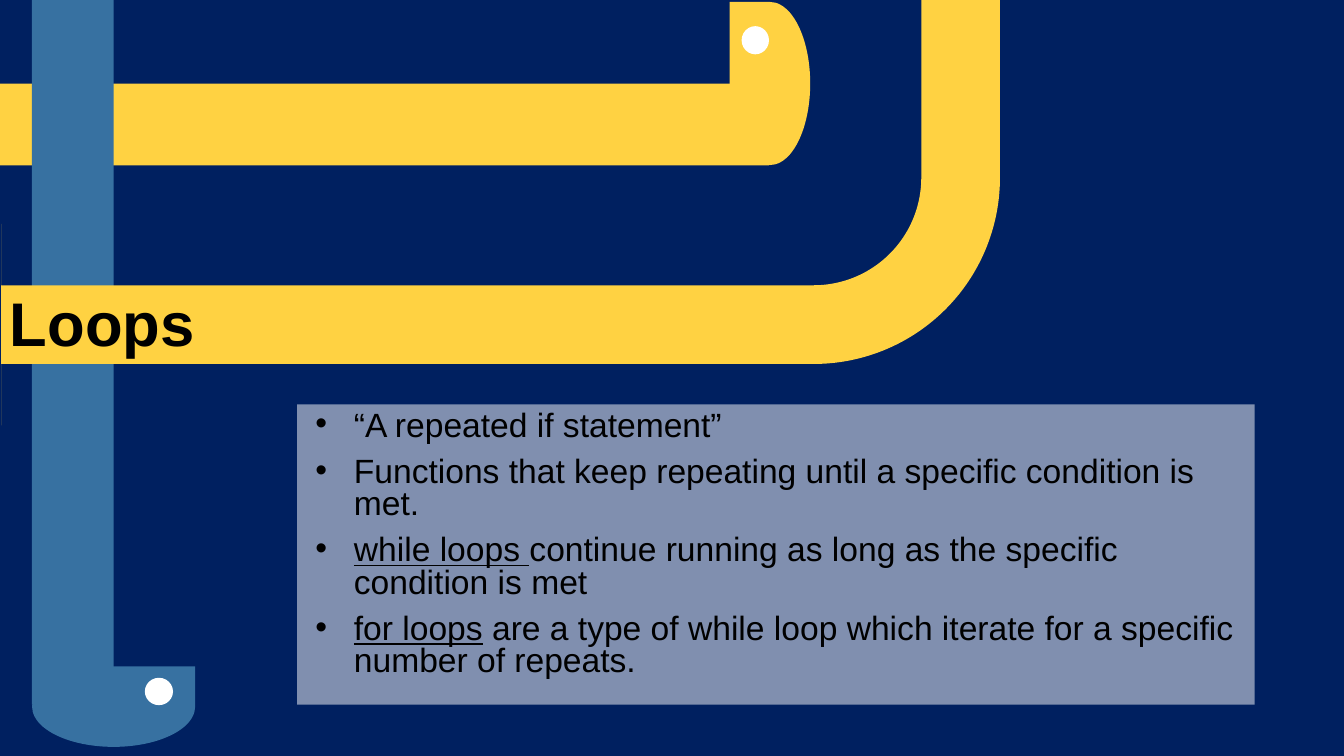
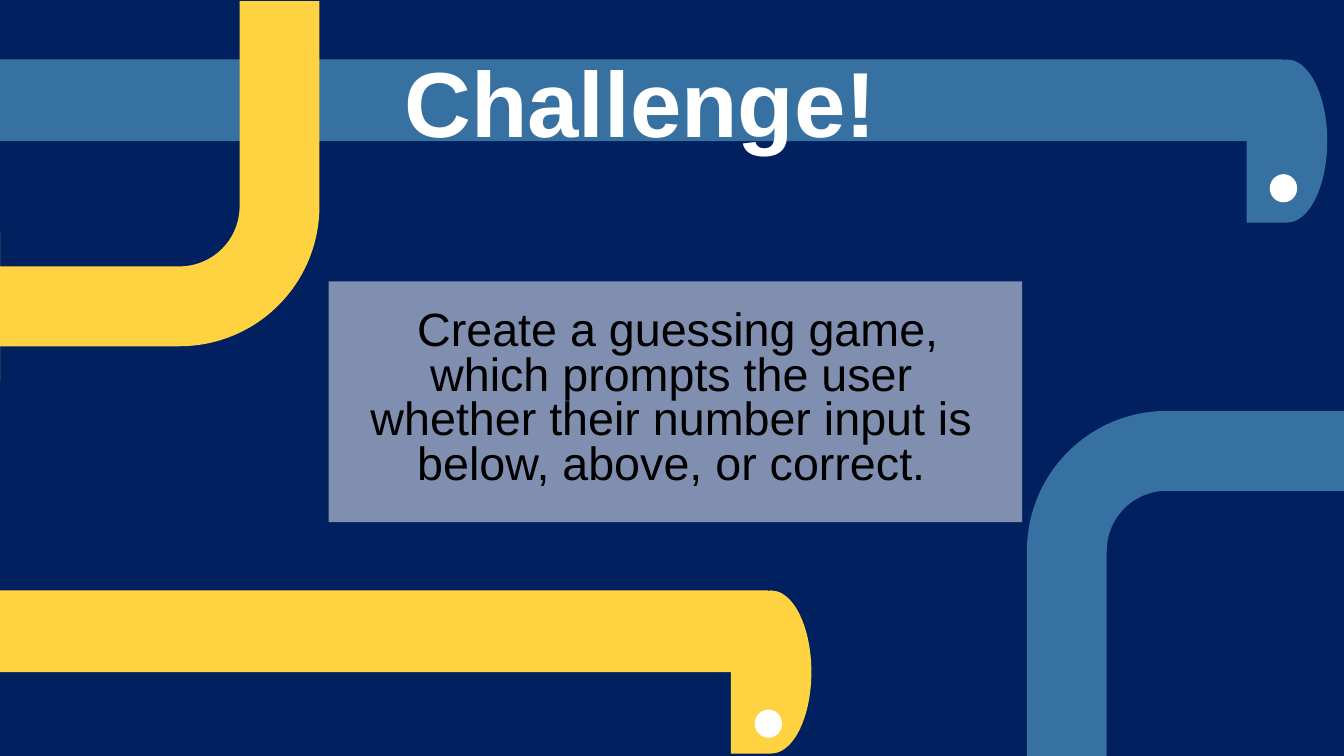
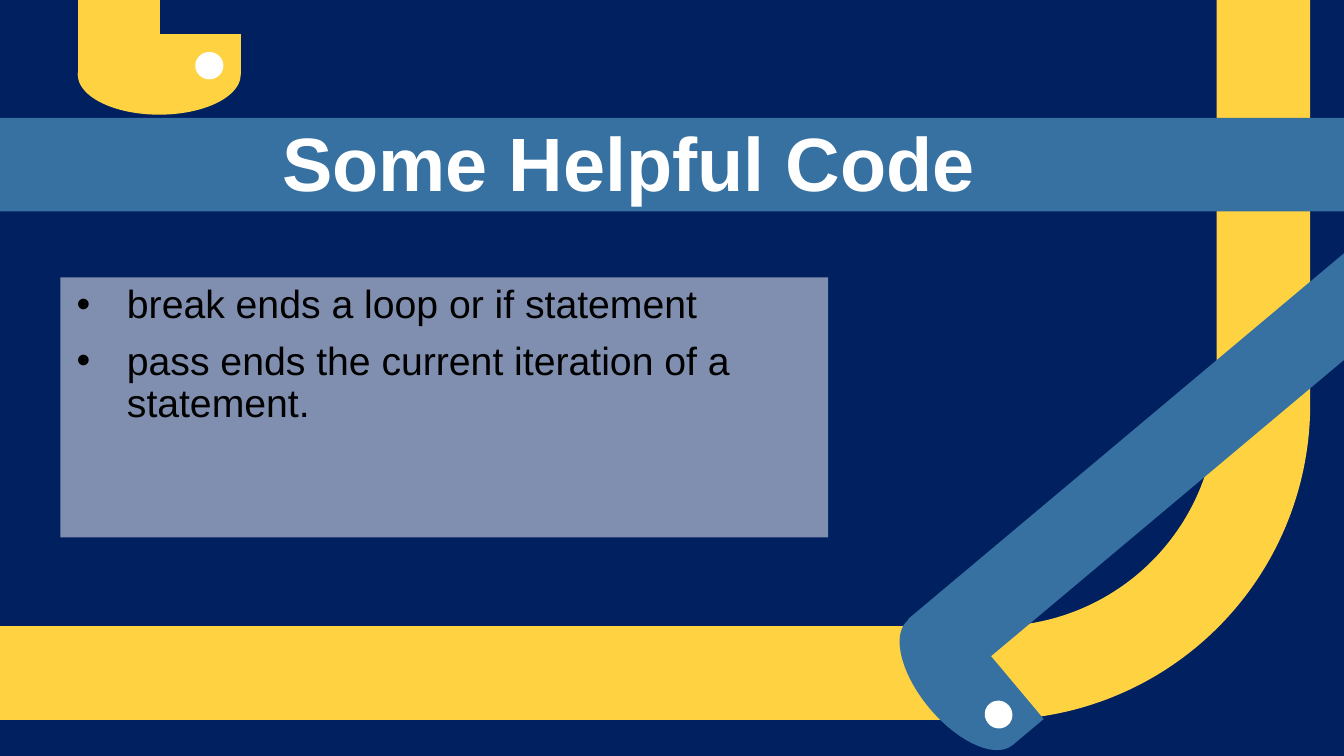
from dataclasses import dataclass
from typing import Optional

from lxml.etree import SubElement
from pptx import Presentation
from pptx.dml.color import RGBColor
from pptx.enum.shapes import MSO_SHAPE as Preset
from pptx.enum.text import MSO_ANCHOR as Anchor, PP_ALIGN as Align
from pptx.oxml.ns import qn
from pptx.util import Cm, Pt

# Shared look
NAVY, YELLOW, BLUE = "002060", "FFD242", "3771A1"
WHITE, BLACK = "FFFFFF", "000000"
FONT = "Arial"
THICK = 2.06
HEAD_SIZE = (2.03, 4.11)
EYE_SIZE = (0.69, 0.71)

Box = tuple[float, float, float, float]
Point = tuple[float, float]


@dataclass(frozen=True)
class Snake:
    """A straight body with a head and an eye, all turned alike."""
    color: str
    body: Point
    length: float
    head: Point
    eye: Point
    turn: float = 0
    flip: str = "h"
    caption: str = ""


@dataclass(frozen=True)
class Bend:
    """A pipe that turns one corner."""
    color: str
    box: Box
    thickness: float
    offset: float
    turn: float = 0
    flip: str = ""


@dataclass(frozen=True)
class Line:
    """A paragraph, with an underlined start if it has one."""
    text: str
    term: str = ""


@dataclass(frozen=True)
class Note:
    """Text over a translucent panel."""
    panel: Box
    box: Box
    lines: list[Line]
    size: float
    spacing: float
    hang: float = 0
    align: Optional[Align] = None


@dataclass(frozen=True)
class Band:
    color: str
    box: Box


@dataclass(frozen=True)
class Title:
    text: str
    box: Box
    size: float
    color: str


def rgb(color: str) -> RGBColor:
    return RGBColor.from_string(color)


def add_part(shapes, preset: Preset, box: Box, color: str, *,
             turn: float = 0, flip: str = "", opacity: int = 100):
    part = shapes.add_shape(preset, *map(Cm, box))
    part.shadow.inherit = False
    part.fill.solid()
    part.fill.fore_color.rgb = rgb(color)
    part.line.fill.background()
    part.rotation = turn
    for axis in flip:
        part.element.spPr.xfrm.set(f"flip{axis.upper()}", "1")
    if opacity < 100:
        shade = part.element.spPr.find(".//" + qn("a:srgbClr"))
        SubElement(shade, qn("a:alpha")).set("val", str(opacity * 1000))
    return part


def write(holder, lines: list[Line], *, size: float, color: str, bold: bool = False,
          align: Optional[Align] = None, anchor: Anchor = Anchor.TOP,
          spacing: float = 1, before: float = 0, hang: float = 0) -> None:
    frame = holder.text_frame
    frame.word_wrap = True
    frame.vertical_anchor = anchor
    for index, line in enumerate(lines):
        paragraph = frame.add_paragraph() if index else frame.paragraphs[0]
        paragraph.alignment = align or Align.LEFT
        paragraph.line_spacing = spacing
        paragraph.space_before = Pt(before)
        if hang:
            props = paragraph._p.get_or_add_pPr()
            props.set("marL", str(Cm(hang)))
            props.set("indent", str(-Cm(hang)))
            SubElement(props, qn("a:buFont")).set("typeface", FONT)
            SubElement(props, qn("a:buChar")).set("char", "•")
        for text, underlined in ((line.term, True), (line.text, False)):
            if text:
                run = paragraph.add_run()
                run.text = text
                run.font.name = FONT
                run.font.size = Pt(size)
                run.font.bold = bold
                run.font.underline = underlined
                run.font.color.rgb = rgb(color)


def draw_snake(slide, snake: Snake) -> None:
    parts = slide.shapes.add_group_shape().shapes
    body = add_part(parts, Preset.RECTANGLE, (*snake.body, snake.length, THICK),
                    snake.color, turn=snake.turn)
    if snake.caption:
        write(body, [Line(snake.caption)], size=66, color=WHITE, bold=True,
              align=Align.CENTER, anchor=Anchor.MIDDLE)
    add_part(parts, Preset.TEAR, (*snake.head, *HEAD_SIZE), snake.color,
             turn=snake.turn, flip=snake.flip)
    add_part(parts, Preset.FLOWCHART_CONNECTOR, (*snake.eye, *EYE_SIZE), WHITE,
             turn=snake.turn)


def draw_bend(slide, bend: Bend) -> None:
    pipe = add_part(slide.shapes, Preset.BENT_ARROW, bend.box, bend.color,
                    turn=bend.turn, flip=bend.flip)
    for index, value in enumerate((bend.thickness, bend.offset, 0, 0.438)):
        pipe.adjustments[index] = value


def draw_band(slide, band: Band) -> None:
    add_part(slide.shapes, Preset.RECTANGLE, band.box, band.color)


def draw_title(slide, title: Title) -> None:
    heading = slide.shapes.add_textbox(*map(Cm, title.box))
    write(heading, [Line(title.text)], size=title.size, color=title.color,
          bold=True, anchor=Anchor.BOTTOM, spacing=0.9)


def draw_note(slide, note: Note) -> None:
    add_part(slide.shapes, Preset.RECTANGLE, note.panel, WHITE, opacity=50)
    body = slide.shapes.add_textbox(*map(Cm, note.box))
    write(body, note.lines, size=note.size, color=BLACK, align=note.align,
          spacing=note.spacing, before=10, hang=note.hang)


DRAW = {Snake: draw_snake, Bend: draw_bend, Band: draw_band,
        Title: draw_title, Note: draw_note}

# Content, from back to front
LOOPS = [
    Snake(YELLOW, (0, 2.11), 19.38, head=(18.39, 0.05), eye=(18.69, 0.66)),
    Snake(BLUE, (-7.04, 7.85), 17.75, head=(1.85, 15.75), eye=(3.66, 17.07), turn=90),
    Bend(YELLOW, (0.03, 0, 25.17, 10.72), 0.185, 0.237, turn=180),
    Title("Loops", (0, 4.29, 21.11, 4.9), 44, BLACK),
    Note((7.49, 10.19, 24.13, 7.57), (7.7, 10.24, 23.7, 7.57), [
        Line("“A repeated if statement”"),
        Line("Functions that keep repeating until a specific condition is met."),
        Line("continue running as long as the specific condition is met", "while loops "),
        Line(" are a type of while loop which iterate for a specific number of repeats.",
             "for loops"),
    ], size=24, spacing=0.8, hang=0.97),
]

CHALLENGE = [
    Snake(BLUE, (-0.05, 1.5), 32.39, head=(31.42, 1.5), eye=(32, 4.39),
          flip="hv", caption="Challenge!"),
    Note((8.28, 7.09, 17.48, 6.07), (8.43, 7.7, 16.99, 4.83), [
        Line(" Create a guessing game, which prompts the user whether their number "
             "input is below, above, or correct."),
    ], size=33.3, spacing=0.8, align=Align.CENTER),
    Bend(BLUE, (25.88, 9.47, 8.05, 9.58), 0.25, 0.235),
    Bend(YELLOW, (0, 0.03, 8.05, 9.58), 0.25, 0.235, turn=180),
    Snake(YELLOW, (-0.08, 14.88), 19.43, head=(18.42, 14.88), eye=(19.02, 17.88),
          flip="hv"),
]

HELPFUL_CODE = [
    Bend(YELLOW, (-0.03, 0, 33.05, 18.14), 0.139, 0.065, flip="hv"),
    Band(BLUE, (0, 2.97, 33.87, 2.36)),
    Title("Some Helpful Code", (6.86, 2.9, 22.38, 2.46), 54, WHITE),
    Snake(YELLOW, (-6.55, -8.71), 19.1, head=(3, -0.18), eye=(4.93, 1.3), turn=90),
    Note((1.52, 6.99, 19.35, 6.55), (1.68, 7.06, 19.35, 6.15), [
        Line("break ends a loop or if statement"),
        Line("pass ends the current iteration of a statement."),
    ], size=28, spacing=0.9, hang=1.27),
    Snake(BLUE, (21.31, 9.22), 19.1, head=(23.19, 15.14), eye=(24.82, 17.65), turn=140),
]


def main() -> None:
    deck = Presentation()
    deck.slide_width, deck.slide_height = Cm(33.87), Cm(19.05)
    backdrop = deck.slide_master.background.fill
    backdrop.solid()
    backdrop.fore_color.rgb = rgb(NAVY)
    for content in (LOOPS, CHALLENGE, HELPFUL_CODE):
        slide = deck.slides.add_slide(deck.slide_layouts[6])
        for item in content:
            DRAW[type(item)](slide, item)
    deck.save("out.pptx")


if __name__ == "__main__":
    main()
